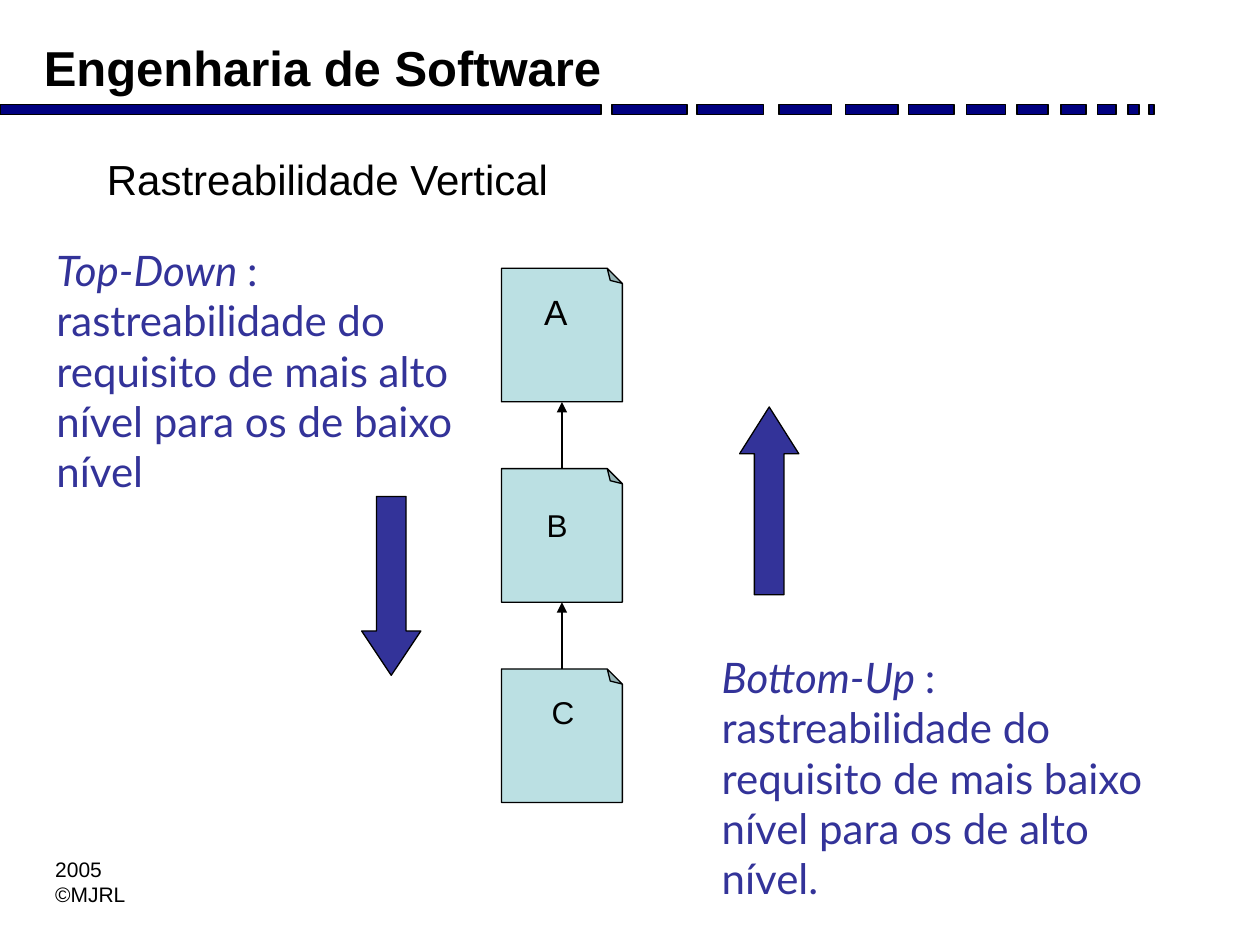
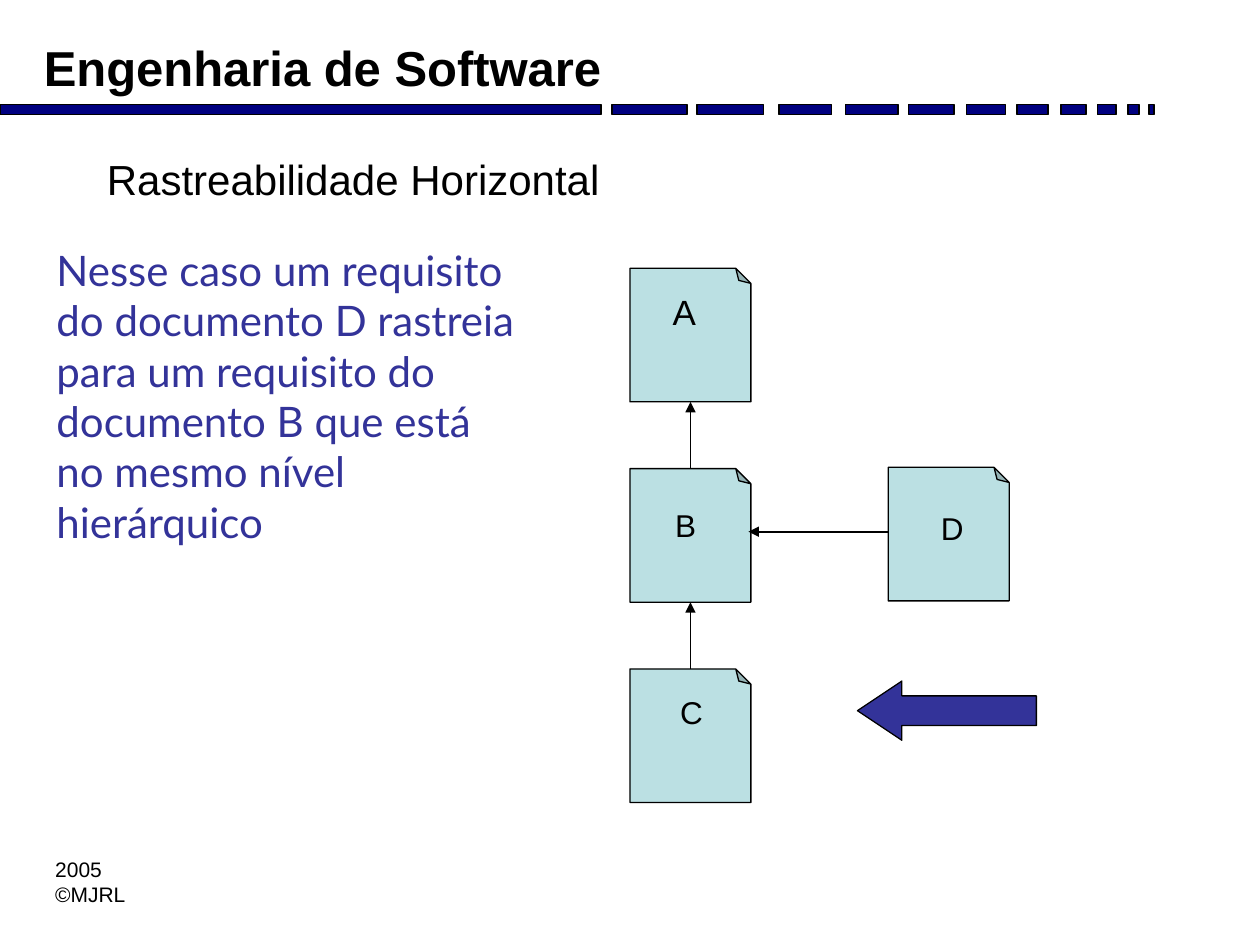
from dataclasses import dataclass

from lxml.etree import SubElement
from pptx import Presentation
from pptx.dml.color import RGBColor
from pptx.enum.shapes import MSO_CONNECTOR as Connector, MSO_SHAPE as Shape
from pptx.enum.text import MSO_ANCHOR as Anchor, MSO_AUTO_SIZE as AutoSize
from pptx.oxml.ns import qn
from pptx.util import Inches, Pt


@dataclass(frozen=True)
class Theme:
    ink: str = "000000"
    band: str = "000080"
    accent: str = "333399"
    document: str = "BBE0E3"
    heading_font: str = "Arial"
    body_font: str = "Lato"
    course_size: int = 28
    title_size: int = 24
    body_size: int = 24
    large_label_size: int = 20
    label_size: int = 18
    footer_size: int = 12
    thin_line: float = 0.75
    band_line: float = 1


THEME = Theme()
BAND_TOP, BAND_HEIGHT = 0.83, 0.08
BAND_SEGMENTS = [
    (0, 4.77), (4.86, 0.59), (5.53, 0.53), (6.18, 0.42), (6.71, 0.42), (7.21, 0.36),
    (7.67, 0.31), (8.07, 0.25), (8.42, 0.2), (8.71, 0.15), (8.95, 0.09), (9.12, 0.04),
]
DOCUMENT_WIDTH, DOCUMENT_HEIGHT = 0.96, 1.06
STACK_TOP, STACK_STEP = 2.13, 1.59
STACK_LABELS = [
    ("A", 0.24, 0.13, THEME.large_label_size),
    ("B", 0.26, 0.25, THEME.label_size),
    ("C", 0.3, 0.14, THEME.label_size),
]


def add_text(slide, text, left, top, width, height, *, size, font=THEME.heading_font,
             color=THEME.ink, bold=False, italic_lead="", wrap=True, grow=False):
    box = slide.shapes.add_textbox(Inches(left), Inches(top), Inches(width), Inches(height))
    frame = box.text_frame
    frame.word_wrap = wrap
    frame.vertical_anchor = Anchor.TOP
    frame.auto_size = AutoSize.SHAPE_TO_FIT_TEXT if grow else AutoSize.NONE
    for index, line in enumerate(text.split("\n")):
        paragraph = frame.add_paragraph() if index else frame.paragraphs[0]
        pieces = [(italic_lead, True), (line, False)] if italic_lead else [(line, False)]
        for piece, italic in pieces:
            run = paragraph.add_run()
            run.text = piece
            run.font.size = Pt(size)
            run.font.name = font
            run.font.bold = bold
            run.font.italic = italic
            run.font.color.rgb = RGBColor.from_string(color)


def add_box(slide, kind, left, top, width, height, fill, line_width=THEME.thin_line):
    shape = slide.shapes.add_shape(
        kind, Inches(left), Inches(top), Inches(width), Inches(height))
    shape.shadow.inherit = False
    shape.fill.solid()
    shape.fill.fore_color.rgb = RGBColor.from_string(fill)
    shape.line.color.rgb = RGBColor.from_string(THEME.ink)
    shape.line.width = Pt(line_width)
    return shape


def add_block_arrow(slide, left, top, height, head, rotation=0):
    arrow = add_box(slide, Shape.UP_ARROW, left, top, 0.47, height, THEME.accent)
    arrow.adjustments[0] = 0.5
    arrow.adjustments[1] = head
    arrow.rotation = rotation


def add_document(slide, left, top, label, label_dx, label_dy, label_size):
    page = add_box(slide, Shape.FOLDED_CORNER, left, top,
                   DOCUMENT_WIDTH, DOCUMENT_HEIGHT, THEME.document)
    properties = page.element.spPr
    properties.find(qn("a:xfrm")).set("flipV", "1")
    adjustments = properties.find(qn("a:prstGeom")).find(qn("a:avLst"))
    SubElement(adjustments, qn("a:gd"), name="adj", fmla="val 12500")
    add_text(slide, label, left + label_dx, top + label_dy, 0.6, 0.68, size=label_size)


def add_trace(slide, start, end, line_width=THEME.thin_line):
    trace = slide.shapes.add_connector(
        Connector.STRAIGHT, *(Inches(value) for value in (*start, *end)))
    trace.line.color.rgb = RGBColor.from_string(THEME.ink)
    trace.line.width = Pt(line_width)
    properties = trace.element.spPr
    SubElement(properties.find(qn("a:ln")), qn("a:tailEnd"), type="triangle")
    SubElement(properties, qn("a:effectLst"))


def add_document_stack(slide, left):
    center = left + DOCUMENT_WIDTH / 2
    for row, label in enumerate(STACK_LABELS):
        top = STACK_TOP + row * STACK_STEP
        add_document(slide, left, top, *label)
        if row:
            above_bottom = top - STACK_STEP + DOCUMENT_HEIGHT
            add_trace(slide, (center, top), (center, above_bottom))


def add_body(slide, text, left, top, height, italic_lead=""):
    add_text(slide, text, left, top, 3.86, height, size=THEME.body_size,
             font=THEME.body_font, color=THEME.accent, italic_lead=italic_lead, grow=True)


def add_base_slide(presentation, title):
    slide = presentation.slides.add_slide(presentation.slide_layouts[6])
    for left, width in BAND_SEGMENTS:
        add_box(slide, Shape.RECTANGLE, left, BAND_TOP, width, BAND_HEIGHT,
                THEME.band, THEME.band_line)
    add_text(slide, "Engenharia de Software", 0.25, 0.25, 4.83, 0.56,
             size=THEME.course_size, bold=True, grow=True)
    add_text(slide, "2005\n©MJRL", 0.34, 6.75, 0.76, 0.5,
             size=THEME.footer_size, wrap=False, grow=True)
    add_text(slide, title, 0.75, 1.17, 8.5, 0.75, size=THEME.title_size)
    return slide


def add_vertical_slide(presentation):
    slide = add_base_slide(presentation, "Rastreabilidade Vertical")
    add_body(slide, ": rastreabilidade do requisito de mais alto nível para os de baixo nível",
             0.35, 1.89, 2.1, italic_lead="Top-Down ")
    add_body(slide, ": rastreabilidade do requisito de mais baixo nível para os de alto nível.",
             5.63, 5.12, 2.1, italic_lead="Bottom-Up ")
    add_block_arrow(slide, 5.87, 3.23, 1.49, 0.79)
    add_block_arrow(slide, 2.87, 3.94, 1.42, 0.75, rotation=180)
    add_document_stack(slide, 3.98)


def add_horizontal_slide(presentation):
    slide = add_base_slide(presentation, "Rastreabilidade Horizontal")
    add_body(slide, "Nesse caso um requisito do documento D rastreia para um requisito "
             "do documento B que está no mesmo nível hierárquico", 0.35, 1.89, 2.9)
    add_block_arrow(slide, 7.28, 4.93, 1.42, 0.75, rotation=270)
    add_document_stack(slide, 5)
    add_document(slide, 7.05, 3.71, "D", 0.32, 0.28, THEME.label_size)
    add_trace(slide, (7.05, 4.22), (5.94, 4.22), line_width=1)


def main():
    presentation = Presentation()
    presentation.slide_width = Inches(10)
    presentation.slide_height = Inches(7.5)
    add_vertical_slide(presentation)
    add_horizontal_slide(presentation)
    presentation.save("out.pptx")


if __name__ == "__main__":
    main()
